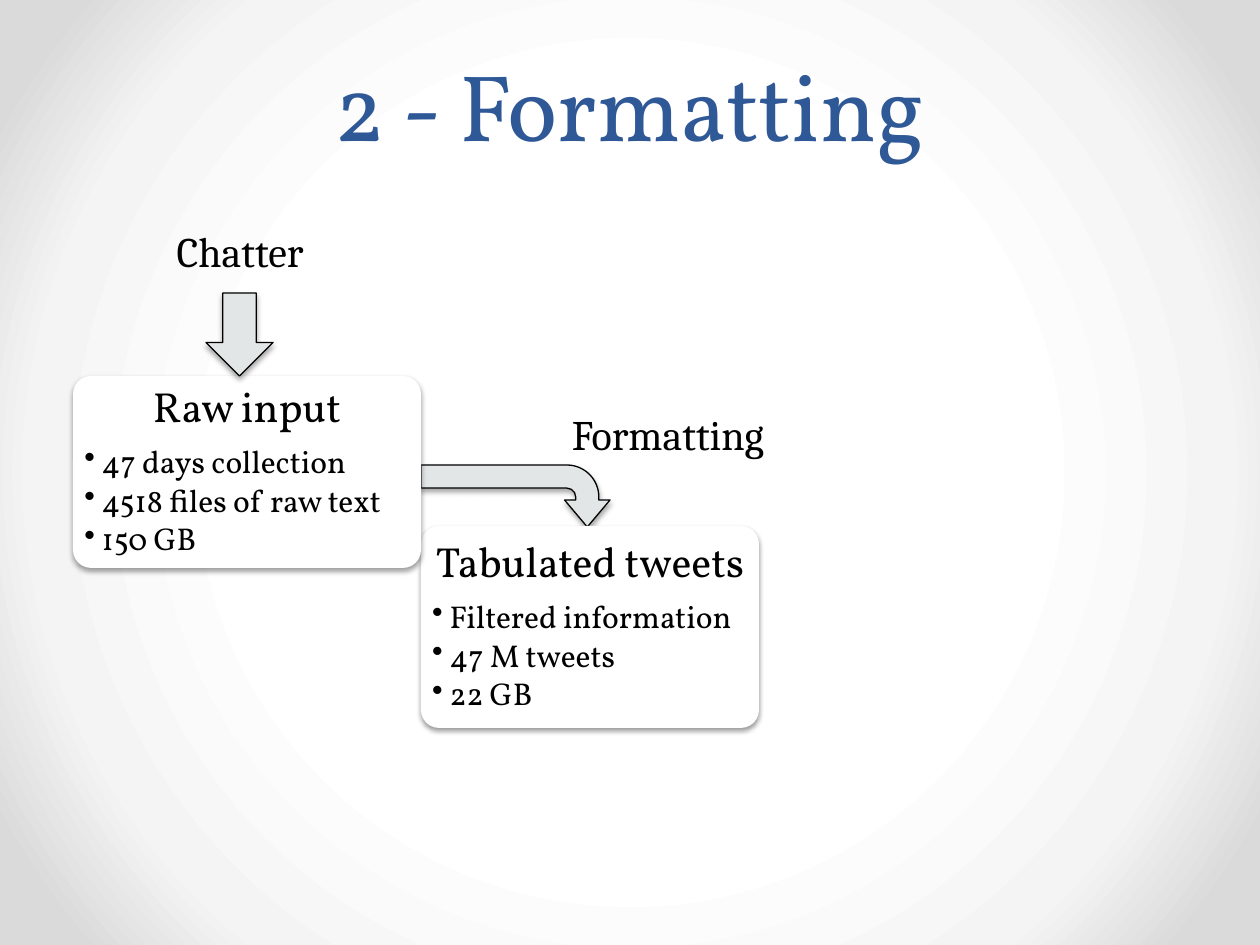
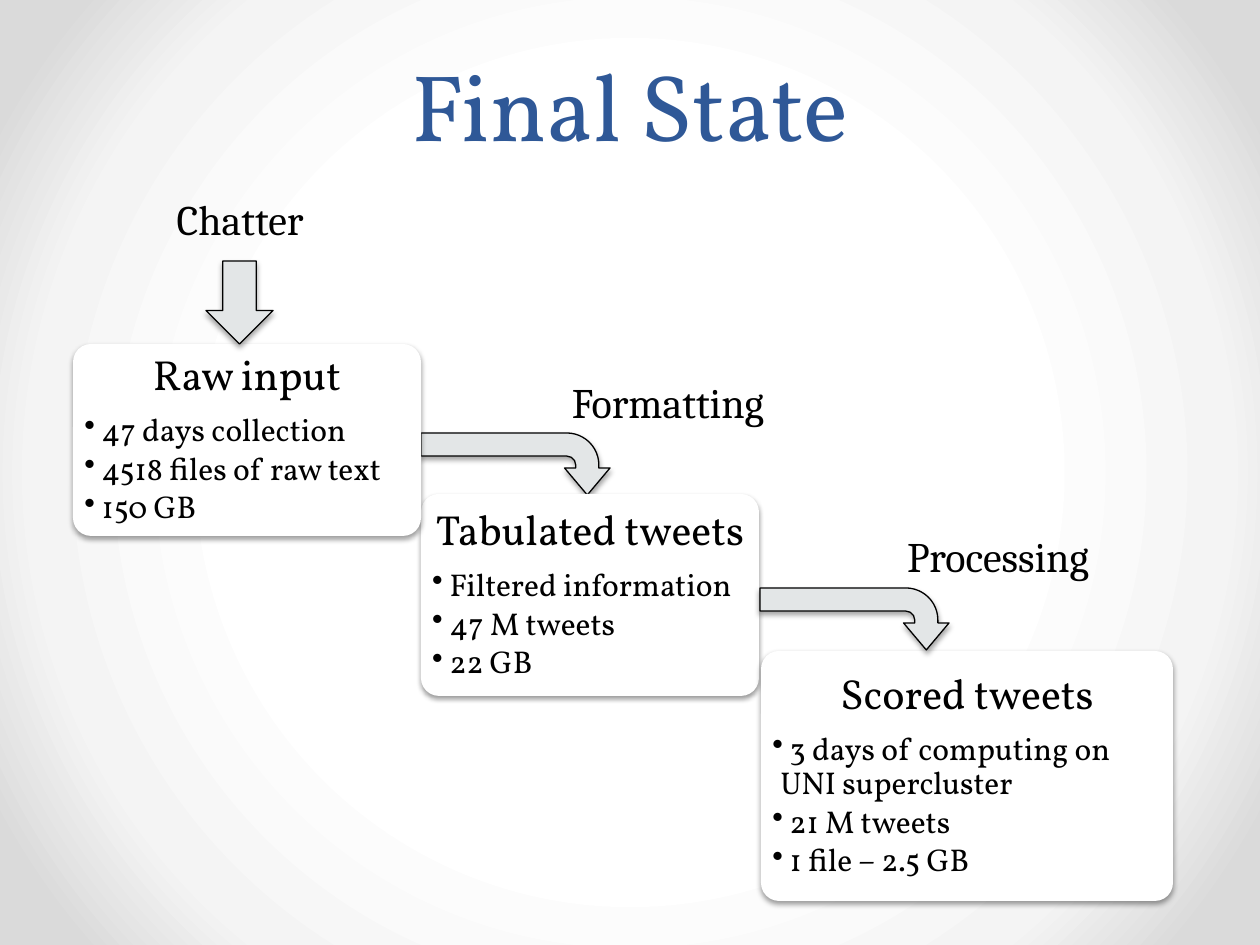
from dataclasses import dataclass

from pptx import Presentation
from pptx.dml.color import RGBColor
from pptx.enum.shapes import MSO_SHAPE
from pptx.enum.text import MSO_ANCHOR, MSO_AUTO_SIZE, PP_ALIGN
from pptx.oxml import parse_xml
from pptx.oxml.ns import nsdecls, qn
from pptx.util import Pt

CENTER, LEFT = PP_ALIGN.CENTER, PP_ALIGN.LEFT
MIDDLE = MSO_ANCHOR.MIDDLE
NO_FIT, GROW = MSO_AUTO_SIZE.NONE, MSO_AUTO_SIZE.SHAPE_TO_FIT_TEXT
ROUNDED, DOWN, BENT = (MSO_SHAPE.ROUNDED_RECTANGLE, MSO_SHAPE.DOWN_ARROW,
                       MSO_SHAPE.BENT_ARROW)
EMU_PER_PX = 914400 / 126
TITLE_ONLY = 5


@dataclass(frozen=True)
class Theme:
    """Colours, fonts and type sizes shared by the slides."""
    title: str = "2F5897"
    ink: str = "000000"
    box: str = "FFFFFF"
    arrow: str = "E3E6E7"
    backdrop: tuple = ((50, "FFFFFF"), (76, "F4F4F4"), (92, "DADADA"))
    text_font: str = "Vollkorn"
    label_font: str = "Cambria"
    title_size: int = 54
    head_size: int = 24
    item_size: int = 18


THEME = Theme()
BEND = (0.373, 0.367, 0.435, 0.517)
RAW = ("Raw input", "47 days collection", "4518 files of raw text", "150 GB")
TABULATED = ("Tabulated tweets", "Filtered information", "47 M tweets", "22 GB")
SCORED = ("Scored tweets", "3 days of computing on UNI supercluster",
          "21 M tweets", "1 file – 2.5 GB")


def px(*lengths):
    """Turn pixel lengths into EMU."""
    return [round(n * EMU_PER_PX) for n in lengths]


def style(p, size, font, color=THEME.ink, align=CENTER):
    """Format a paragraph and its runs."""
    p.alignment = align
    for r in p.runs:
        r.font.size = Pt(size)
        r.font.name = font
        r.font.color.rgb = RGBColor.from_string(color)


def set_backdrop(master):
    """Give the master a circular gradient background."""
    master.background.fill.solid()
    stops = "".join(
        f'<a:gs pos="{pos * 1000}"><a:srgbClr val="{color}"/></a:gs>'
        for pos, color in THEME.backdrop)
    bg = master.element.find(".//" + qn("p:bgPr"))
    bg.replace(bg[0], parse_xml(
        f'<a:gradFill {nsdecls("a")} rotWithShape="1"><a:gsLst>{stops}</a:gsLst>'
        '<a:path path="circle"><a:fillToRect l="50000" t="50000" r="50000" '
        'b="50000"/></a:path></a:gradFill>'))


def add_shadow(sp, alpha, dist):
    """Drop a soft shadow straight down."""
    sp.shadow.inherit = False
    sp._element.spPr.find(qn("a:effectLst")).append(parse_xml(
        f'<a:outerShdw {nsdecls("a")} blurRad="{Pt(3.1)}" dist="{Pt(dist)}" '
        f'dir="5400000" rotWithShape="0"><a:srgbClr val="{THEME.ink}">'
        f'<a:alpha val="{alpha * 1000}"/></a:srgbClr></a:outerShdw>'))


def add_slide(prs, title):
    """Add a slide with a centred title."""
    s = prs.slides.add_slide(prs.slide_layouts[TITLE_ONLY])
    sp = s.shapes.title
    sp.left, sp.top, sp.width, sp.height = px(63, 0, 1134, 220)
    tf = sp.text_frame
    tf.text = title
    tf.auto_size = NO_FIT
    tf.vertical_anchor = MIDDLE
    p = tf.paragraphs[0]
    p.line_spacing = Pt(58)
    style(p, THEME.title_size, THEME.text_font, THEME.title)
    return s


def add_label(s, text, x, y):
    """Name a step above its arrow."""
    tf = s.shapes.add_textbox(*px(x, y, 260, 63)).text_frame
    tf.text = text
    tf.word_wrap = True
    tf.auto_size = GROW
    tf.vertical_anchor = MIDDLE
    style(tf.paragraphs[0], THEME.head_size, THEME.label_font)


def add_arrow(s, kind, x, y, w, h):
    """Add an outlined block arrow."""
    sp = s.shapes.add_shape(kind, *px(x, y, w, h))
    sp.fill.solid()
    sp.fill.fore_color.rgb = RGBColor.from_string(THEME.arrow)
    sp.line.color.rgb = RGBColor.from_string(THEME.ink)
    sp.line.width = Pt(0.75)
    add_shadow(sp, 35, 1.8)
    return sp


def add_bent_arrow(s, x, y):
    """Add an arrow that runs right from (x, y) and then turns down."""
    w, h = 62, 189
    shift = (h - w) / 2
    sp = add_arrow(s, BENT, x + shift, y - shift, w, h)
    sp.rotation = 90
    for i, value in enumerate(BEND):
        sp.adjustments[i] = value


def add_item(tf, text):
    """Add a bulleted line to a stage box."""
    p = tf.add_paragraph()
    p.text = " " + text
    p.level = 1
    p.line_spacing = 0.9
    p.space_after = Pt(2.7)
    style(p, THEME.item_size, THEME.text_font, align=LEFT)
    pPr = p._p.get_or_add_pPr()
    indent = px(8)[0]
    pPr.set("marL", str(indent))
    pPr.set("indent", str(-indent))
    pPr.append(parse_xml(f'<a:buChar {nsdecls("a")} char="•"/>'))


def add_stage(s, content, x, y, w, h, radius=18):
    """Add a rounded box with a heading and its bullets."""
    sp = s.shapes.add_shape(ROUNDED, *px(x, y, w, h))
    sp.adjustments[0] = radius / min(w, h)
    sp.fill.solid()
    sp.fill.fore_color.rgb = RGBColor.from_string(THEME.box)
    sp.line.fill.background()
    add_shadow(sp, 38, 1.6)
    head, *items = content
    tf = sp.text_frame
    tf.text = head
    tf.word_wrap = True
    tf.vertical_anchor = MIDDLE
    tf.margin_left, tf.margin_top, tf.margin_right, tf.margin_bottom = px(6, 6, 6, 6)
    p = tf.paragraphs[0]
    p.line_spacing = 0.9
    p.space_after = Pt(8.4)
    style(p, THEME.head_size, THEME.text_font)
    for item in items:
        add_item(tf, item)


def add_formatting_flow(s, top):
    """Draw the flow from the source to the tabulated stage."""
    add_bent_arrow(s, 421, top + 246)
    add_stage(s, TABULATED, 421, top + 307, 338, 202)
    add_stage(s, RAW, 73, top + 157, 348, 192)
    add_label(s, "Formatting", 538, top + 183)
    add_arrow(s, DOWN, 206, top + 74, 67, 83)
    add_label(s, "Chatter", 110, top)


def add_scoring_flow(s, top):
    """Draw the step from the tabulated to the scored stage."""
    add_stage(s, SCORED, 761, top + 464, 412, 250)
    add_label(s, "Processing", 868, top + 337)
    add_bent_arrow(s, 760, top + 401)


def main():
    """Build and save the two slides."""
    prs = Presentation()
    prs.slide_width, prs.slide_height = px(1260, 945)
    set_backdrop(prs.slide_master)

    s = add_slide(prs, "2 - Formatting")
    add_formatting_flow(s, 219)

    s = add_slide(prs, "Final State")
    add_formatting_flow(s, 187)
    add_scoring_flow(s, 187)

    prs.save("out.pptx")


if __name__ == "__main__":
    main()
